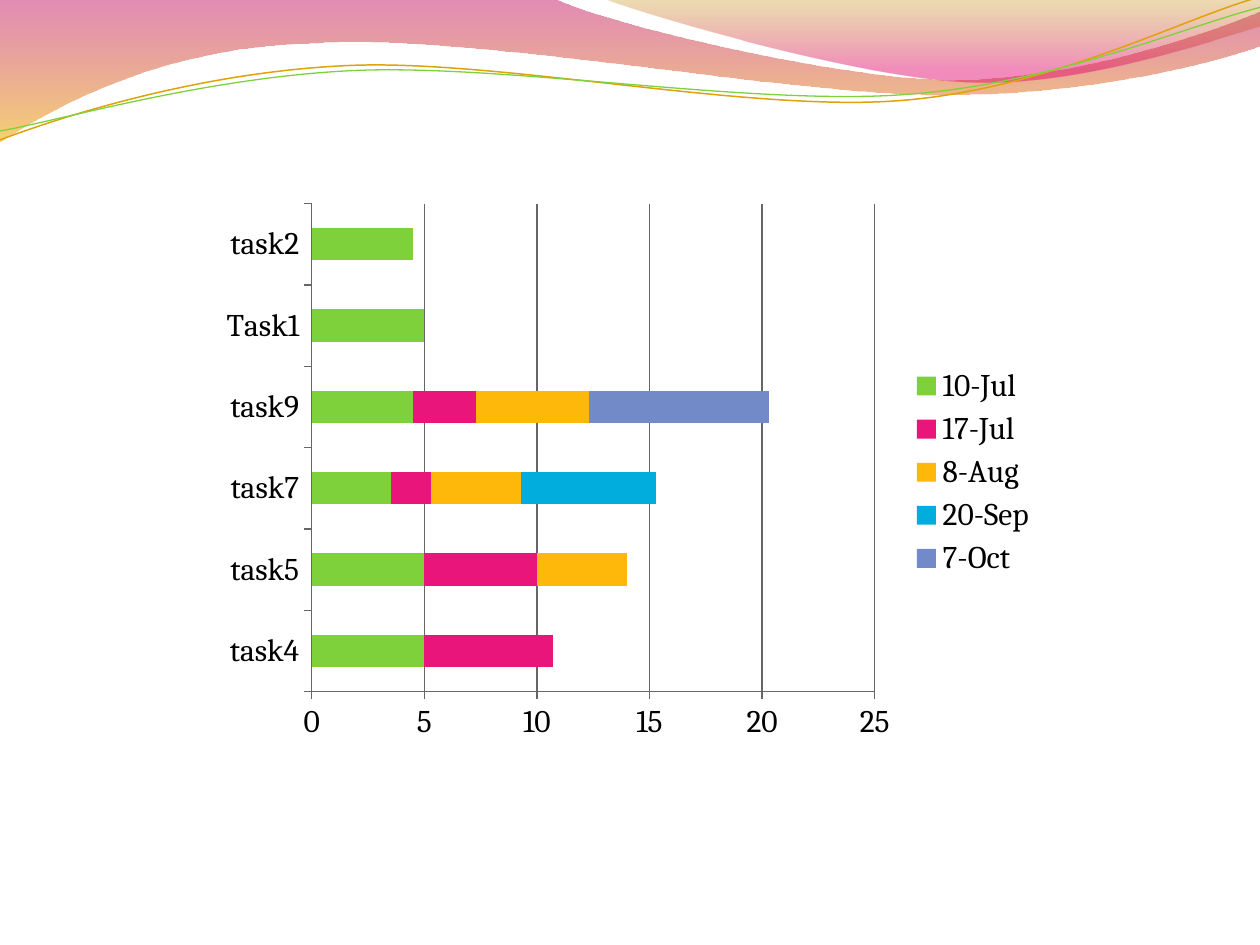
from math import cos, radians, sin

from lxml.etree import SubElement
from pptx import Presentation
from pptx.chart.data import CategoryChartData
from pptx.dml.color import RGBColor
from pptx.enum.chart import XL_CHART_TYPE as ChartType
from pptx.enum.chart import XL_LEGEND_POSITION as LegendPosition
from pptx.enum.chart import XL_TICK_MARK as TickMark
from pptx.oxml.ns import qn
from pptx.util import Cm, Pt

SLIDE_WIDTH, SLIDE_HEIGHT = 25.4, 19.05
RIBBON_TILT = -2.7

WIDE_WAVE = [
    [(0, 0)], [(11.18, -0.03)],
    [(12.09, 0.43), (16.87, 1.6), (19.25, 1.6)],
    [(21.67, 1.6), (24.33, 0.66), (25.4, 0.23)],
    [(25.43, 0.91)],
    [(24.97, 1.12), (22.1, 1.93), (18.95, 1.91)],
    [(15.8, 1.91), (9.7, 0.71), (6.53, 0.86)],
    [(3.28, 0.91), (1.17, 2.11), (-0.03, 2.87)],
    [(0, 0)],
]
RIGHT_WAVE = [
    [(12.17, -0.03)],
    [(12.93, 0.28), (17.32, 1.57), (19.53, 1.65)],
    [(21.74, 1.75), (24.41, 0.81), (25.4, 0.53)],
    [(25.4, 0)], [(12.17, -0.03)],
]
GOLD_RIBBON = [
    [(0, 2.82)],
    [(1.22, 2.36), (4.01, 1.45), (7.04, 1.32)],
    [(10.03, 1.19), (15.06, 2.26), (18.11, 2.03)],
    [(21.16, 1.8), (23.83, 0.38), (25.35, -0.05)],
]
GREEN_RIBBON = [
    [(0, 2.64)],
    [(1.19, 2.44), (4.17, 1.55), (7.19, 1.42)],
    [(10.24, 1.3), (15.16, 2.13), (18.21, 1.91)],
    [(21.23, 1.7), (23.9, 0.53), (25.4, 0.15)],
]

TASKS = ["task4", "task5", "task7", "task9", "Task1", "task2"]
DATES = [
    ("10-Jul", [5, 5, 3.5, 4.5, 5, 4.5], "7FD13B"),
    ("17-Jul", [5.7, 5, 1.8, 2.8, 0, 0], "EA157A"),
    ("8-Aug", [0, 4, 4, 5, 0, 0], "FEB80A"),
    ("20-Sep", [0, None, 6, None, 0, 0], "00ADDC"),
    ("7-Oct", [0, None, None, 8, 0, 0], "738AC8"),
]


def color(hex_value):
    return RGBColor.from_string(hex_value)


def turn(segments, degrees, center):
    c, s = cos(radians(degrees)), sin(radians(degrees))
    cx, cy = center
    return [[(cx + (x - cx) * c - (y - cy) * s, cy + (x - cx) * s + (y - cy) * c)
             for x, y in segment] for segment in segments]


def add_outline(slide, segments, left, top, close):
    start, *rest = [(Cm(left + x), Cm(top + y)) for segment in segments for x, y in segment]
    builder = slide.shapes.build_freeform(*start)
    builder.add_line_segments(rest, close=close)
    outline = builder.convert_to_shape()
    outline.shadow.inherit = False
    bend(outline, segments[1:])
    return outline


def bend(outline, segments):
    edges = iter(list(outline._element.iter(qn("a:lnTo"))))
    for segment in segments:
        first, *others = [next(edges) for _ in segment]
        if others:
            curve = first.makeelement(qn("a:cubicBezTo"))
            first.addprevious(curve)
            for edge in (first, *others):
                curve.append(edge[0])
                edge.getparent().remove(edge)


def add_wave(slide, segments, left, top, stops):
    wave = add_outline(slide, segments, left, top, True)
    wave.line.fill.background()
    wave.fill.gradient()
    gradient = wave.fill._xPr.find(qn("a:gradFill"))
    for child in list(gradient):
        gradient.remove(child)
    stop_list = SubElement(gradient, qn("a:gsLst"))
    for position, hex_value, opacity in stops:
        stop = SubElement(stop_list, qn("a:gs"), pos=str(position * 1000))
        tint = SubElement(stop, qn("a:srgbClr"), val=hex_value)
        SubElement(tint, qn("a:alpha"), val=str(opacity * 1000))
    SubElement(gradient, qn("a:lin"), ang="5400000", scaled="0")


def add_ribbon(slide, segments, left, top, center, hex_value, weight):
    level_segments = turn(segments, -RIBBON_TILT, center)
    ribbon = add_outline(slide, level_segments, left, top, False)
    ribbon.rotation = RIBBON_TILT
    ribbon.fill.background()
    ribbon.line.color.rgb = color(hex_value)
    ribbon.line.width = Pt(weight)


def add_header(slide, left, top):
    add_wave(slide, WIDE_WAVE, left, top, [(0, "BD0059", 45), (100, "F0AB00", 55)])
    add_wave(slide, RIGHT_WAVE, left, top, [(0, "C38B00", 30), (80, "E1006B", 45)])
    add_ribbon(slide, GOLD_RIBBON, left, top, (12.67, 1.46), "E0A209", 0.85)
    add_ribbon(slide, GREEN_RIBBON, left, top, (12.69, 1.5), "7FD13B", 0.75)


def add_task_chart(slide, left, top, width, height):
    chart_data = CategoryChartData()
    chart_data.categories = TASKS
    for date, durations, _ in DATES:
        chart_data.add_series(date, durations)
    chart = slide.shapes.add_chart(ChartType.BAR_STACKED, Cm(left), Cm(top),
                                   Cm(width), Cm(height), chart_data).chart
    chart.has_title = False
    chart.font.name = "Cambria"
    chart.font.size = Pt(18)
    chart.font.color.rgb = color("000000")
    chart.has_legend = True
    chart.legend.position = LegendPosition.RIGHT
    chart.legend.include_in_layout = False

    plot = chart.plots[0]
    plot.gap_width = 150
    plot.overlap = 100
    plot.vary_by_categories = False
    for series, (_, _, hex_value) in zip(plot.series, DATES):
        series.format.fill.solid()
        series.format.fill.fore_color.rgb = color(hex_value)

    days = chart.value_axis
    days.minimum_scale, days.maximum_scale, days.major_unit = 0, 25, 5
    days.has_major_gridlines = True
    for axis in (chart.category_axis, days):
        axis.major_tick_mark = TickMark.OUTSIDE
        axis.minor_tick_mark = TickMark.NONE
    for ruled in (chart.category_axis, days, days.major_gridlines):
        ruled.format.line.color.rgb = color("666666")
        ruled.format.line.width = Pt(0.75)


def main():
    deck = Presentation()
    deck.slide_width, deck.slide_height = Cm(SLIDE_WIDTH), Cm(SLIDE_HEIGHT)
    slide = deck.slides.add_slide(deck.slide_layouts[6])
    add_header(slide, 0, 0)
    add_task_chart(slide, 4.23, 3.88, 16.93, 11.28)
    deck.save("out.pptx")


if __name__ == "__main__":
    main()
